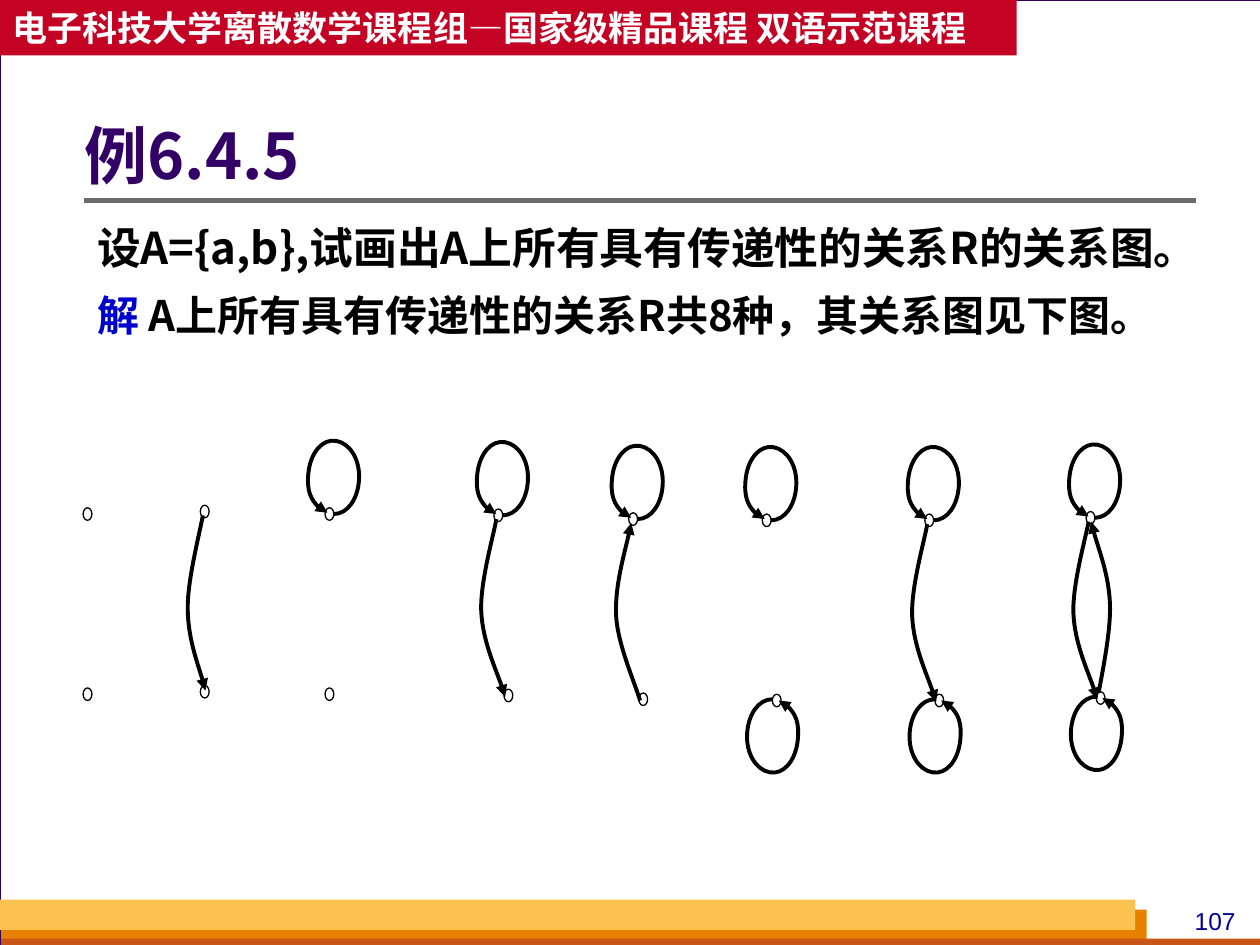
import pptx
import pptx.dml.color
import pptx.enum.shapes
import pptx.enum.text
import pptx.oxml
import pptx.oxml.ns
import pptx.util
from lxml import etree

Inches = pptx.util.Inches
Pt = pptx.util.Pt
RGB = pptx.dml.color.RGBColor
MSO_SHAPE = pptx.enum.shapes.MSO_SHAPE
ANCHOR = pptx.enum.text.MSO_ANCHOR
ALIGN = pptx.enum.text.PP_ALIGN
qn = pptx.oxml.ns.qn

WHITE = RGB(0xFF, 0xFF, 0xFF)
BLACK = RGB(0, 0, 0)
PURPLE = RGB(0x33, 0x00, 0x66)
ORANGE = RGB(0xE8, 0x80, 0x00)
RUST = RGB(0xC9, 0x56, 0x16)
GOLD = RGB(0xFC, 0xC2, 0x4F)
RED = RGB(0xC3, 0x02, 0x24)
GRAY = RGB(0x6B, 0x6B, 0x6B)
NAVY = RGB(0x00, 0x00, 0x99)
BLUE = RGB(0x00, 0x00, 0xCC)
CJK = "Noto Sans CJK SC"

# Bezier control points: a start, then three per curve, as offsets in inches.
# Loops start at their own origin, edges are measured from the upper node.
LOOP = [(0, 0), (.11, 0), (.19, -.12), (.2, -.27), (.21, -.43), (.13, -.56),
        (.02, -.58), (-.09, -.6), (-.18, -.49), (-.2, -.34), (-.22, -.18),
        (-.15, -.04), (-.05, -.01)]
EDGE = [(-.01, .03), (-.03, .15), (-.14, .53), (-.13, .76),
        (-.12, .99), (.02, 1.3), (.06, 1.44)]
STRAIGHT_EDGE = [(-.01, .03), (-.03, .15), (-.13, .53), (-.13, .76),
                 (-.13, 1), (-.02, 1.29), (.01, 1.42)]
RETURN_EDGE = [(.07, 1.39), (.09, 1.27), (.17, .9), (.16, .68),
               (.15, .45), (.04, .17), (.01, .03)]

# Upper node x and y, shift of the lower node, loops, edges
GRAPHS = [
    (0.69, 4.08, 0, "", []),
    (1.62, 4.06, 0, "", [STRAIGHT_EDGE]),
    (2.61, 4.08, 0, "a", []),
    (3.95, 4.09, .08, "a", [EDGE]),
    (5.02, 4.12, .08, "a", [EDGE[::-1]]),
    (6.08, 4.13, .08, "ab", []),
    (7.37, 4.13, .08, "ab", [EDGE]),
    (8.65, 4.11, .08, "ab", [EDGE, RETURN_EDGE]),
]
NODE_GAP = 1.43


class SlideBuilder:
    def __init__(self, slide):
        self.slide = slide
        self.shapes = slide.shapes

    def shape(self, kind, x, y, w, h, fill=None, line=None):
        sp = self.shapes.add_shape(kind, Inches(x), Inches(y), Inches(w), Inches(h))
        sp.shadow.inherit = False
        if fill is None:
            sp.fill.background()
        else:
            sp.fill.solid()
            sp.fill.fore_color.rgb = fill
        if line is None:
            sp.line.fill.background()
        else:
            sp.line.color.rgb = line
            sp.line.width = Pt(0.75)
        return sp

    def rule(self, x1, x2, y):
        line = self.shapes.add_connector(pptx.enum.shapes.MSO_CONNECTOR.STRAIGHT,
                                         Inches(x1), Inches(y), Inches(x2), Inches(y))
        line.line.color.rgb = GRAY
        line.line.width = Pt(3)
        etree.SubElement(line._element.spPr, qn("a:effectLst"))

    def arrow_curve(self, x, y, controls, sign=1):
        points = [(Inches(x + sign * dx), Inches(y + sign * dy)) for dx, dy in controls]
        builder = self.shapes.build_freeform(*points[0], scale=1.0)
        builder.add_line_segments(points[1:], close=False)
        sp = builder.convert_to_shape()
        # Turn each three line segments into one cubic curve
        segments = list(sp._element.iter(qn("a:lnTo")))
        for i in range(0, len(segments), 3):
            curve = etree.SubElement(segments[i].getparent(), qn("a:cubicBezTo"))
            for segment in segments[i:i + 3]:
                curve.append(segment[0])
                segment.getparent().remove(segment)
        sp.shadow.inherit = False
        sp.fill.background()
        sp.line.color.rgb = BLACK
        sp.line.width = Pt(2.25)
        etree.SubElement(sp.line._get_or_add_ln(), qn("a:tailEnd"), type="triangle")

    def run_style(self, r, size, color, font=CJK, bold=True):
        r.font.size, r.font.bold, r.font.name = Pt(size), bold, font
        r.font.color.rgb = color
        etree.SubElement(r._r.get_or_add_rPr(), qn("a:ea"), typeface=font)

    def text(self, sp, text, size, color, font=CJK, bold=True, align=ALIGN.LEFT):
        tf = sp.text_frame
        tf.text = text
        p = tf.paragraphs[0]
        p.alignment = align
        self.run_style(p.runs[0], size, color, font, bold)
        return tf

    def placeholder(self, sp, x, y, w, h, anchor):
        sp.left, sp.top, sp.width, sp.height = map(Inches, (x, y, w, h))
        self.shapes._spTree.append(sp._element)  # bring in front of the background
        tf = sp.text_frame
        tf.word_wrap = True
        tf.auto_size = pptx.enum.text.MSO_AUTO_SIZE.NONE
        tf.vertical_anchor = anchor
        return tf

    def plain_paragraph(self, p):
        pPr = p._p.get_or_add_pPr()
        for name in ("marL", "indent", "hangingPunct"):
            pPr.set(name, "0")
        etree.SubElement(pPr, qn("a:buNone"))
        p.line_spacing = 1.1
        p.space_before = Pt(0)

    def graph(self, x, y, shift, loops, edges):
        lower_x, lower_y = x + shift, y + NODE_GAP
        if "a" in loops:
            self.arrow_curve(x + .04, y, LOOP)
        if "b" in loops:
            self.arrow_curve(lower_x - .03, lower_y - .01, LOOP, sign=-1)
        for cx, cy in ((x, y), (lower_x, lower_y)):
            self.shape(MSO_SHAPE.OVAL, cx - .03, cy - .05, .07, .1, line=BLACK)
        for edge in edges:
            self.arrow_curve(x, y, edge)


def main():
    prs = pptx.Presentation()
    prs.slide_width, prs.slide_height = Inches(10), Inches(7.5)
    s = prs.slides.add_slide(prs.slide_layouts[1])
    b = SlideBuilder(s)
    title, body = s.shapes.title, s.placeholders[1]

    # Background and footer bands
    b.shape(MSO_SHAPE.RECTANGLE, 0, 0, 10.01, 7.5, WHITE, PURPLE)
    for x, y, w, h, color in ((.01, 7.22, 9.09, .28, ORANGE),
                              (.01, 7.45, 10, .08, RUST),
                              (0, 7.14, 9.01, .24, GOLD)):
        b.shape(MSO_SHAPE.RECTANGLE, x, y, w, h, color)
    number = s.shapes.add_textbox(Inches(9.33), Inches(7.14), Inches(.63), Inches(.34))
    b.text(number, "107", 14, NAVY, "Arial", False, ALIGN.CENTER).word_wrap = True

    # Header band and title rule
    b.rule(.67, 9.49, 1.59)
    header = b.shape(MSO_SHAPE.RECTANGLE, 0, 0, 8.07, .44, RED)
    tf = b.text(header, "电子科技大学离散数学课程组—国家级精品课程 双语示范课程", 20, WHITE)
    tf.word_wrap = False
    tf.vertical_anchor = ANCHOR.MIDDLE

    # Title
    tf = b.placeholder(title, .67, .76, 8.82, 1.01, ANCHOR.MIDDLE)
    tf.margin_left = 0
    b.text(title, "例6.4.5", 36, PURPLE)
    tf.paragraphs[0].line_spacing = .9

    # Problem and answer
    tf = b.placeholder(body, .67, 1.66, 9.33, 1.24, ANCHOR.TOP)
    b.text(body, "设A={a,b},试画出A上所有具有传递性的关系R的关系图。", 25, BLACK)
    answer = tf.add_paragraph()
    for p in tf.paragraphs:
        b.plain_paragraph(p)
    answer.space_before = Pt(6.5)
    for text, color in (("解 ", BLUE),
                        ("A上所有具有传递性的关系R共8种，其关系图见下图。", BLACK)):
        r = answer.add_run()
        r.text = text
        b.run_style(r, 24, color)

    # The eight transitive relations
    for graph in GRAPHS:
        b.graph(*graph)

    prs.save("out.pptx")


if __name__ == "__main__":
    main()
